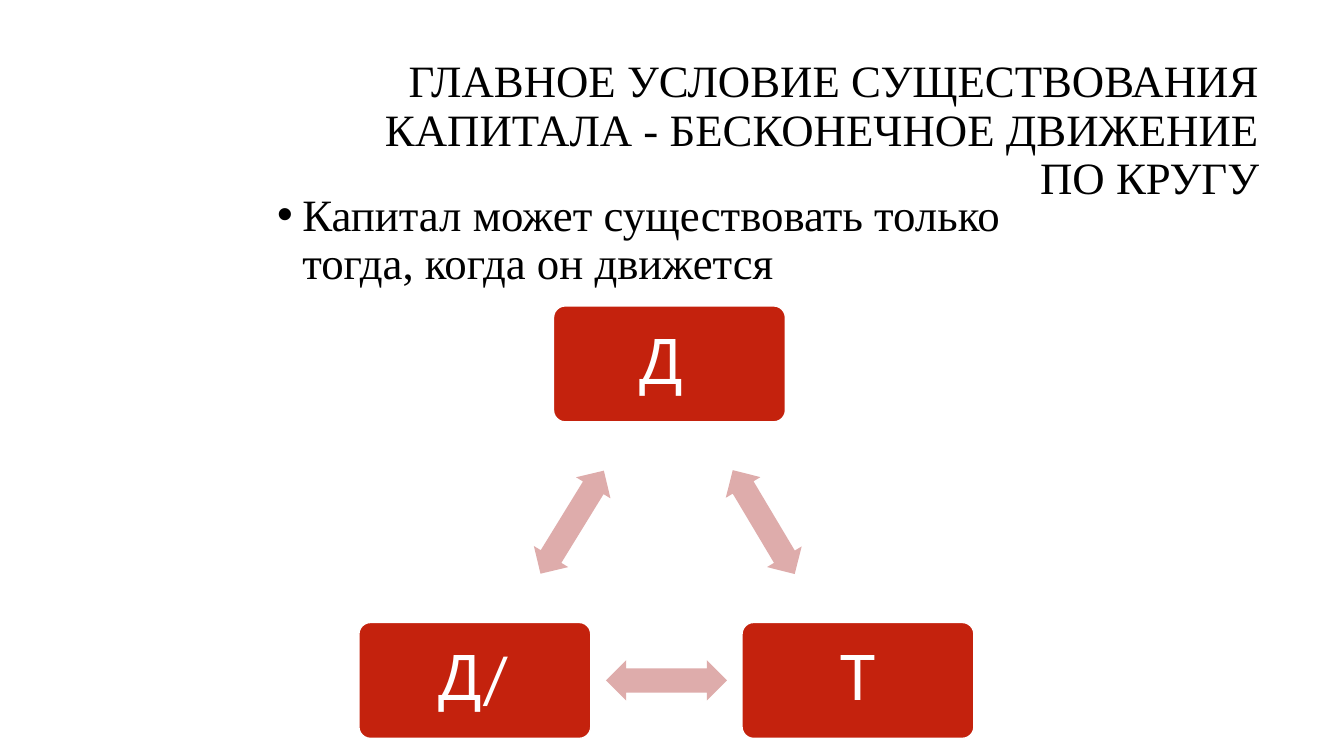
from dataclasses import dataclass
from itertools import pairwise
from math import atan2, degrees

from lxml.etree import SubElement
from pptx import Presentation
from pptx.dml.color import RGBColor
from pptx.enum.shapes import MSO_SHAPE
from pptx.enum.text import MSO_ANCHOR, MSO_AUTO_SIZE, PP_ALIGN
from pptx.oxml.ns import qn
from pptx.shapes.autoshape import Shape
from pptx.shapes.shapetree import GroupShapes
from pptx.text.text import _Paragraph
from pptx.util import Inches, Pt

COLORS = {"text": "000000", "node": "C4220D", "arrow": "DEACAB", "white": "FFFFFF"}
TEXT_FONT = "Times New Roman"
NODE_FONT = "League Spartan"
NODE_WIDTH, NODE_HEIGHT = 2.3, 1.15
ARROW_WIDTH, ARROW_HEIGHT = 1.2, 0.4


@dataclass(frozen=True)
class Stage:
    """A stage of the capital cycle, placed by its centre in inches."""
    label: str
    x: float
    y: float


STAGES = [
    Stage("Д ", 6.64, 3.61),
    Stage("Т", 8.51, 6.75),
    Stage("Д/", 4.71, 6.75),
]


def rgb(name: str) -> RGBColor:
    return RGBColor.from_string(COLORS[name])


def write(paragraph: _Paragraph, text: str, font: str, size: float, color: str) -> None:
    paragraph.line_spacing = 0.9
    run = paragraph.add_run()
    run.text = text
    run.font.name = font
    run.font.size = Pt(size)
    run.font.color.rgb = rgb(color)


def add_centred(shapes: GroupShapes, kind: MSO_SHAPE, x: float, y: float,
                width: float, height: float, color: str) -> Shape:
    shape = shapes.add_shape(kind, Inches(x - width / 2), Inches(y - height / 2),
                             Inches(width), Inches(height))
    shape.shadow.inherit = False
    shape.fill.solid()
    shape.fill.fore_color.rgb = rgb(color)
    return shape


def add_stage(shapes: GroupShapes, stage: Stage) -> None:
    node = add_centred(shapes, MSO_SHAPE.ROUNDED_RECTANGLE, stage.x, stage.y,
                       NODE_WIDTH, NODE_HEIGHT, "node")
    node.adjustments[0] = 0.1
    node.line.color.rgb = rgb("white")
    node.line.width = Pt(1)
    frame = node.text_frame
    frame.word_wrap = True
    frame.vertical_anchor = MSO_ANCHOR.MIDDLE
    frame.margin_left = frame.margin_right = Inches(0.22)
    frame.margin_top = frame.margin_bottom = Inches(0.22)
    frame.paragraphs[0].alignment = PP_ALIGN.CENTER
    write(frame.paragraphs[0], stage.label, NODE_FONT, 45, "white")


def add_arrow(shapes: GroupShapes, start: Stage, end: Stage) -> None:
    """Put a double arrow halfway between two stages, turned along their line."""
    arrow = add_centred(shapes, MSO_SHAPE.LEFT_RIGHT_ARROW,
                        (start.x + end.x) / 2, (start.y + end.y) / 2,
                        ARROW_WIDTH, ARROW_HEIGHT, "arrow")
    arrow.adjustments[0] = 0.6
    arrow.adjustments[1] = 0.5
    arrow.line.fill.background()
    arrow.rotation = degrees(atan2(end.y - start.y, end.x - start.x)) % 360


def main() -> None:
    prs = Presentation()
    prs.slide_width, prs.slide_height = Inches(13.33), Inches(7.5)
    slide = prs.slides.add_slide(prs.slide_layouts[5])

    # Title, raised by one line through its bottom margin
    title = slide.shapes.title
    title.left, title.top = Inches(3.17), Inches(0.84)
    title.width, title.height = Inches(9.42), Inches(1.41)
    heading = title.text_frame
    heading.auto_size = MSO_AUTO_SIZE.NONE
    heading.word_wrap = True
    heading.vertical_anchor = MSO_ANCHOR.MIDDLE
    heading.margin_bottom = Inches(0.53)
    heading.paragraphs[0].alignment = PP_ALIGN.RIGHT
    write(heading.paragraphs[0],
          "ГЛАВНОЕ УСЛОВИЕ СУЩЕСТВОВАНИЯ КАПИТАЛА - БЕСКОНЕЧНОЕ ДВИЖЕНИЕ ПО КРУГУ",
          TEXT_FONT, 32, "text")

    # Bulleted statement
    statement = slide.shapes.add_textbox(Inches(2.65), Inches(1.86),
                                         Inches(8.1), Inches(3.77))
    statement.text_frame.word_wrap = True
    bullet = statement.text_frame.paragraphs[0]
    write(bullet, "Капитал может существовать только тогда, когда он движется",
          TEXT_FONT, 32, "text")
    properties = bullet._p.get_or_add_pPr()
    properties.set("marL", str(Inches(0.25)))
    properties.set("indent", str(-Inches(0.25)))
    SubElement(properties, qn("a:buFont"), typeface="Arial")
    SubElement(properties, qn("a:buChar"), char="•")

    # Capital cycle
    cycle = slide.shapes.add_group_shape().shapes
    for stage in STAGES:
        add_stage(cycle, stage)
    for start, end in pairwise(STAGES + STAGES[:1]):
        add_arrow(cycle, start, end)

    prs.save("out.pptx")


if __name__ == "__main__":
    main()
